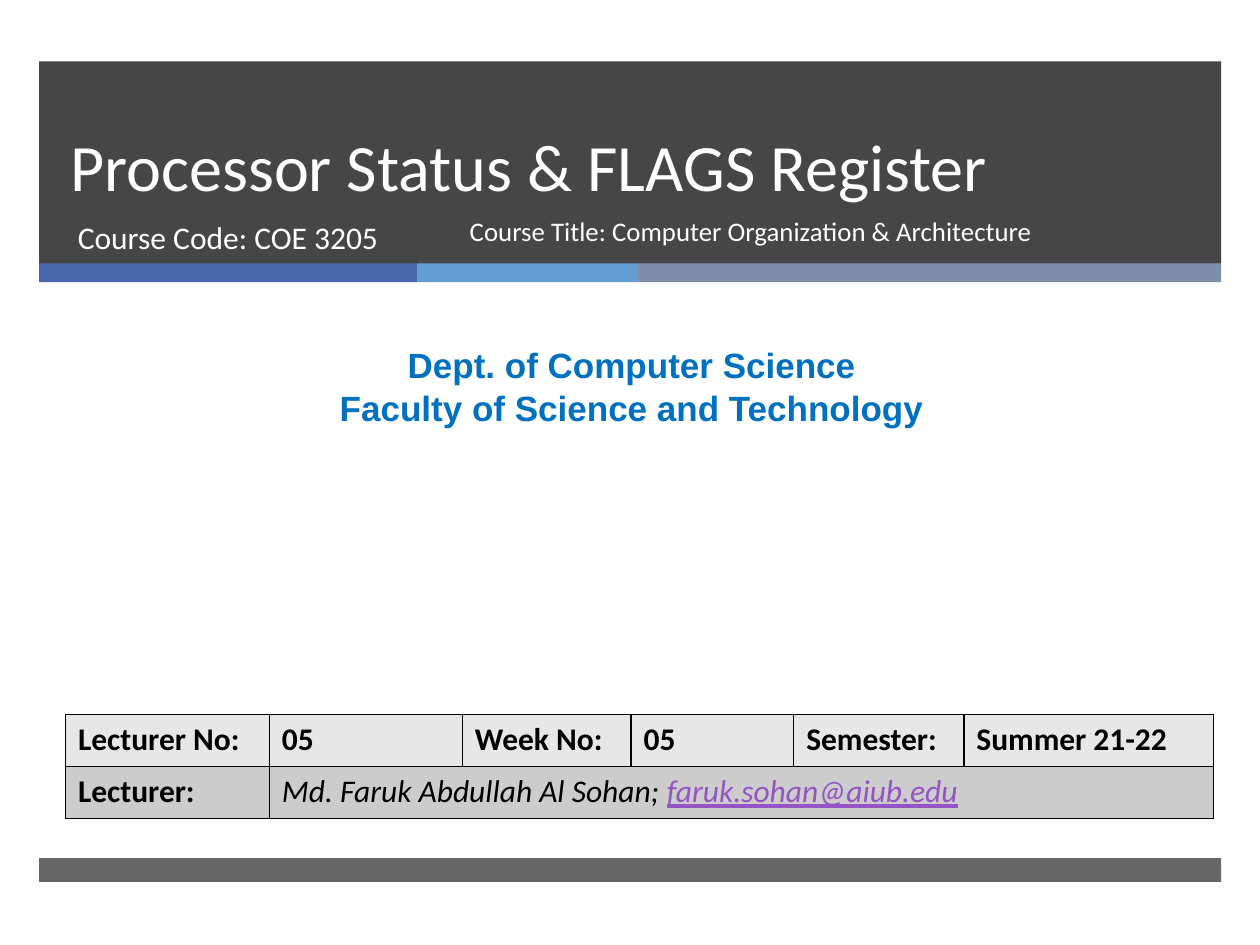
from lxml import etree
from pptx import Presentation
from pptx.dml.color import RGBColor
from pptx.enum.shapes import MSO_SHAPE
from pptx.enum.text import MSO_ANCHOR, PP_ALIGN
from pptx.oxml.ns import qn
from pptx.util import Cm, Pt

RECT = MSO_SHAPE.RECTANGLE
TOP, BOTTOM = MSO_ANCHOR.TOP, MSO_ANCHOR.BOTTOM
LEFT, CENTER = PP_ALIGN.LEFT, PP_ALIGN.CENTER
HUES = {
    "dark": "262626", "blue": "4A66AC", "sky": "629DD1", "slate": "7F8FA9",
    "white": "FFFFFF", "dept": "0070C0", "black": "000000", "mail": "9454C3",
    "light": "E7E7E7", "gray": "CCCCCC",
}


def tint(name):
    return RGBColor.from_string(HUES[name])


def write(para, text, hue, style):
    run = para.add_run()
    run.text = text
    run.font.color.rgb = tint(hue)
    for key, value in style.items():
        setattr(run.font, key, value)


deck = Presentation()
deck.slide_width, deck.slide_height = Cm(25.4), Cm(19.05)
slide = deck.slides.add_slide(deck.slide_layouts[6])

edge = 0.79
bars = [
    (edge, 1.24, 23.83, 4.09, "dark", 85),
    (edge, 5.31, 7.62, 0.38, "blue", 100),
    (edge + 7.62, 5.31, 4.45, 0.38, "sky", 100),
    (edge + 12.07, 5.31, 11.76, 0.38, "slate", 100),
    (edge, 17.3, 23.83, 0.48, "dark", 70),
]
for x, y, w, h, hue, alpha in bars:
    bar = slide.shapes.add_shape(RECT, Cm(x), Cm(y), Cm(w), Cm(h))
    bar.shadow.inherit = False
    bar.fill.solid()
    bar.fill.fore_color.rgb = tint(hue)
    bar.line.fill.background()
    if alpha < 100:
        color = bar.fill._xPr.find(".//" + qn("a:srgbClr"))
        etree.SubElement(color, qn("a:alpha"), val=str(alpha * 1000))

texts = [
    (1.17, 1.24, 21.69, 3.02, ["Processor Status & FLAGS Register"], "white",
     BOTTOM, LEFT, Pt(46), {"name": "Calibri", "size": Pt(37.8)}),
    (1.32, 4.27, 7.75, 1.35, ["Course Code: COE 3205"], "white",
     TOP, LEFT, 1.0, {"name": "Calibri", "size": Pt(18)}),
    (9.22, 4.27, 11.91, 1.35,
     ["Course Title: Computer Organization & Architecture"], "white",
     TOP, LEFT, 0.9, {"name": "Calibri", "size": Pt(15.3)}),
    (0.2, 6.81, 25.07, 1.96,
     ["Dept. of Computer Science", "Faculty of Science and Technology"], "dept",
     TOP, CENTER, 1.0, {"name": "Arial", "size": Pt(20), "bold": True}),
]
for x, y, w, h, lines, hue, anchor, align, space, style in texts:
    frame = slide.shapes.add_textbox(Cm(x), Cm(y), Cm(w), Cm(h)).text_frame
    frame.word_wrap = True
    frame.vertical_anchor = anchor
    for i, line in enumerate(lines):
        para = frame.add_paragraph() if i else frame.paragraphs[0]
        para.alignment = align
        para.line_spacing = space
        write(para, line, hue, style)

widths = [4.11, 3.89, 3.4, 3.28, 3.43, 5.03]
table = slide.shapes.add_table(
    2, len(widths), Cm(1.32), Cm(14.4), Cm(sum(widths)), Cm(2.1)).table
for col, width in zip(table.columns, widths):
    col.width = Cm(width)
for row, hue in zip(table.rows, ["light", "gray"]):
    row.height = Cm(1.05)
    for cell in row.cells:
        cell.fill.solid()
        cell.fill.fore_color.rgb = tint(hue)
        props = cell._tc.get_or_add_tcPr()
        for i, side in enumerate(["lnL", "lnR", "lnT", "lnB"]):
            line = etree.Element(qn("a:" + side), w=str(Pt(1)))
            paint = etree.SubElement(line, qn("a:solidFill"))
            etree.SubElement(paint, qn("a:srgbClr"), val=HUES["black"])
            props.insert(i, line)
table.cell(1, 1).merge(table.cell(1, 5))

base = {"name": "Calibri", "size": Pt(18)}
bold = {**base, "bold": True}
slant = {**base, "bold": False, "italic": True}
heads = ["Lecturer No:", "05", "Week No:", "05", "Semester:", "Summer 21-22"]
for i, head in enumerate(heads):
    write(table.cell(0, i).text_frame.paragraphs[0], head, "black", bold)
write(table.cell(1, 0).text_frame.paragraphs[0], "Lecturer:", "black", bold)
para = table.cell(1, 1).text_frame.paragraphs[0]
write(para, "Md. Faruk Abdullah Al Sohan; ", "black", slant)
write(para, "faruk.sohan@aiub.edu", "mail", {**slant, "underline": True})

deck.save("out.pptx")
